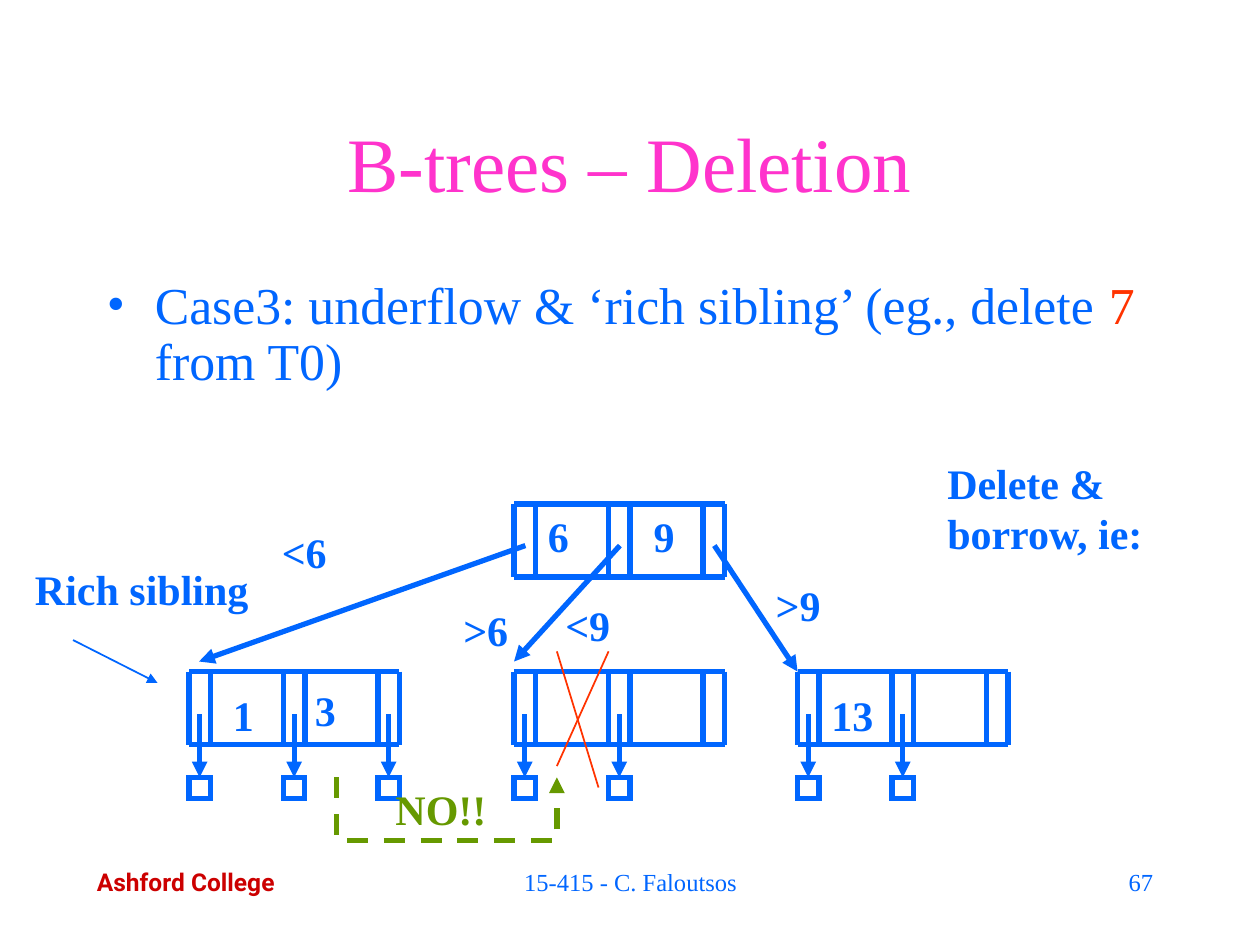
from lxml import etree
from pptx import Presentation
from pptx.dml.color import RGBColor
from pptx.enum.dml import MSO_LINE
from pptx.enum.shapes import MSO_CONNECTOR, MSO_SHAPE
from pptx.enum.text import MSO_ANCHOR, MSO_AUTO_SIZE, PP_ALIGN
from pptx.oxml.ns import qn
from pptx.util import Inches, Pt

LEFT, CENTER, RIGHT = PP_ALIGN.LEFT, PP_ALIGN.CENTER, PP_ALIGN.RIGHT
TOP, MIDDLE = MSO_ANCHOR.TOP, MSO_ANCHOR.MIDDLE
FIT = MSO_AUTO_SIZE.SHAPE_TO_FIT_TEXT
STRAIGHT, RECT, DASH = MSO_CONNECTOR.STRAIGHT, MSO_SHAPE.RECTANGLE, MSO_LINE.DASH

COLORS = {"blue": "0066FF", "pink": "FF33CC", "red": "FF3300",
          "green": "669900", "crimson": "CC0000", "white": "FFFFFF"}
SERIF, SANS = "Times New Roman", "Roboto"
LABEL = {"name": SERIF, "size": Pt(24), "bold": True}
FOOTER = {"name": SERIF, "size": Pt(14), "bold": False}

# B-tree node geometry
SLOT, PITCH, NODE_H = 0.17, 0.75, 0.58
NODE_W = 2 * PITCH + SLOT
ROOT_Y, LEAF_Y, RECORD_Y = 4, 5.33, 6.17


def rgb(color):
    return RGBColor.from_string(COLORS[color])


class Deck:
    def __init__(self, prs):
        self.s = prs.slides.add_slide(prs.slide_layouts[6])

    def text(self, x, y, w, h, runs, font=LABEL, color="blue", align=CENTER,
             anchor=TOP, wrap=True):
        """Add a text box; runs is a string or a list of (text, color)."""
        tf = self.s.shapes.add_textbox(*map(Inches, (x, y, w, h))).text_frame
        tf.word_wrap = wrap
        if not wrap:
            tf.auto_size = FIT
        tf.vertical_anchor = anchor
        p = tf.paragraphs[0]
        p.alignment = align
        for words, c in [(runs, color)] if isinstance(runs, str) else runs:
            r = p.add_run()
            r.text = words
            r.font.color.rgb = rgb(c)
            for key, value in font.items():
                setattr(r.font, key, value)
        return p

    def bullet(self, p, indent, color):
        pPr = p._p.get_or_add_pPr()
        pPr.set("marL", str(Inches(indent)))
        pPr.set("indent", str(-Inches(indent)))
        clr = etree.SubElement(pPr, qn("a:buClr"))
        etree.SubElement(clr, qn("a:srgbClr"), val=COLORS[color])
        etree.SubElement(pPr, qn("a:buFont"), typeface=SERIF)
        etree.SubElement(pPr, qn("a:buChar"), char="•")

    def stroke(self, shape, color, width, arrow=False):
        shape.line.color.rgb = rgb(color)
        shape.line.width = Pt(width)
        ln = shape.line._get_or_add_ln()
        etree.SubElement(ln, qn("a:miter"), lim="800000")
        if arrow:
            etree.SubElement(ln, qn("a:tailEnd"), type="triangle")

    def line(self, x1, y1, x2, y2, color="blue", width=3, arrow=False):
        c = self.s.shapes.add_connector(STRAIGHT, *map(Inches, (x1, y1, x2, y2)))
        self.stroke(c, color, width, arrow)
        etree.SubElement(c._element.spPr, qn("a:effectLst"))

    def square(self, x, y, size):
        sp = self.s.shapes.add_shape(RECT, *map(Inches, (x, y, size, size)))
        sp.shadow.inherit = False
        sp.fill.solid()
        sp.fill.fore_color.rgb = rgb("white")
        self.stroke(sp, "blue", 3)

    def dashed_path(self, points, color):
        (x, y), *rest = [tuple(map(Inches, pt)) for pt in points]
        builder = self.s.shapes.build_freeform(x, y)
        builder.add_line_segments(rest, close=False)
        sp = builder.convert_to_shape()
        sp.shadow.inherit = False
        sp.fill.background()
        sp.line.dash_style = DASH
        self.stroke(sp, color, 3, arrow=True)

    def node(self, x, y, records=0):
        """Draw a node with three pointer slots and its leading records."""
        slots = [x + i * PITCH for i in range(3)]
        for left in slots:
            for edge in (left, left + SLOT):
                self.line(edge, y, edge, y + NODE_H)
        for edge in (y, y + NODE_H):
            self.line(x, edge, x + NODE_W, edge)
        for left in slots[:records]:
            mid = left + SLOT / 2
            self.line(mid, y + 0.34, mid, RECORD_Y, arrow=True)
            self.square(left, RECORD_Y, SLOT)


def main():
    prs = Presentation()
    prs.slide_width, prs.slide_height = Inches(10), Inches(7.5)
    d = Deck(prs)

    # Title and bullet
    d.text(0.75, 0.66, 8.5, 1.25, "B-trees – Deletion",
           {"name": SERIF, "size": Pt(44)}, "pink", anchor=MIDDLE)
    p = d.text(0.75, 2.17, 8.58, 1.17,
               [("Case3: underflow & ‘rich sibling’ (eg., delete ", "blue"),
                ("7", "red"), (" from T0)", "blue")],
               {"name": SERIF, "size": Pt(29.6)}, align=LEFT)
    p.line_spacing = 0.9
    d.bullet(p, 0.38, "blue")

    # Root and leaves
    d.node(4.08, ROOT_Y)
    for x, records in ((6.33, 2), (4.08, 2), (1.5, 3)):
        d.node(x, LEAF_Y, records)

    # Root pointers
    for x1, x2, y2 in ((4.17, 1.58, 5.25), (4.92, 4.08, 5.25), (5.67, 6.33, 5.33)):
        d.line(x1, 4.33, x2, y2, arrow=True)

    # Keys and key ranges
    for x, y, w, key in ((1.75, 5.42, 0.36, "1"), (2.4, 5.38, 0.36, "3"),
                         (4.25, 4, 0.36, "6"), (5.09, 4, 0.36, "9"),
                         (6.5, 5.42, 0.53, "13"), (2.11, 4.13, 0.61, "<6"),
                         (3.55, 4.75, 0.61, ">6"), (4.36, 4.71, 0.61, "<9"),
                         (6.03, 4.55, 0.61, ">9")):
        d.text(x, y, w, 0.5, key, wrap=False)

    # Rich sibling note
    d.text(7.42, 3.58, 2.33, 0.9, "Delete & borrow, ie:", align=LEFT)
    d.line(0.58, 5.08, 1.25, 5.42, width=1, arrow=True)
    d.text(0, 4.42, 2.25, 0.5, "Rich sibling")

    # Crossed-out key and forbidden move
    d.line(4.42, 6.08, 4.83, 5.17, "red", 1)
    d.line(4.42, 5.17, 4.75, 6.25, "red", 1)
    d.dashed_path([(2.67, 6.17), (2.67, 6.67), (4.42, 6.67), (4.42, 6.17)], "green")
    d.text(3, 6.17, 1, 0.5, "NO!!", color="green")

    # Footer
    d.text(0.67, 6.83, 1.81, 0.34, "Ashford College",
           {**FOOTER, "name": SANS, "bold": True}, "crimson", LEFT, wrap=False)
    d.text(3.42, 6.83, 3.17, 0.5, "15-415 - C. Faloutsos", FOOTER)
    d.text(7.17, 6.83, 2.08, 0.5, "67", FOOTER, align=RIGHT)

    prs.save("out.pptx")


if __name__ == "__main__":
    main()
